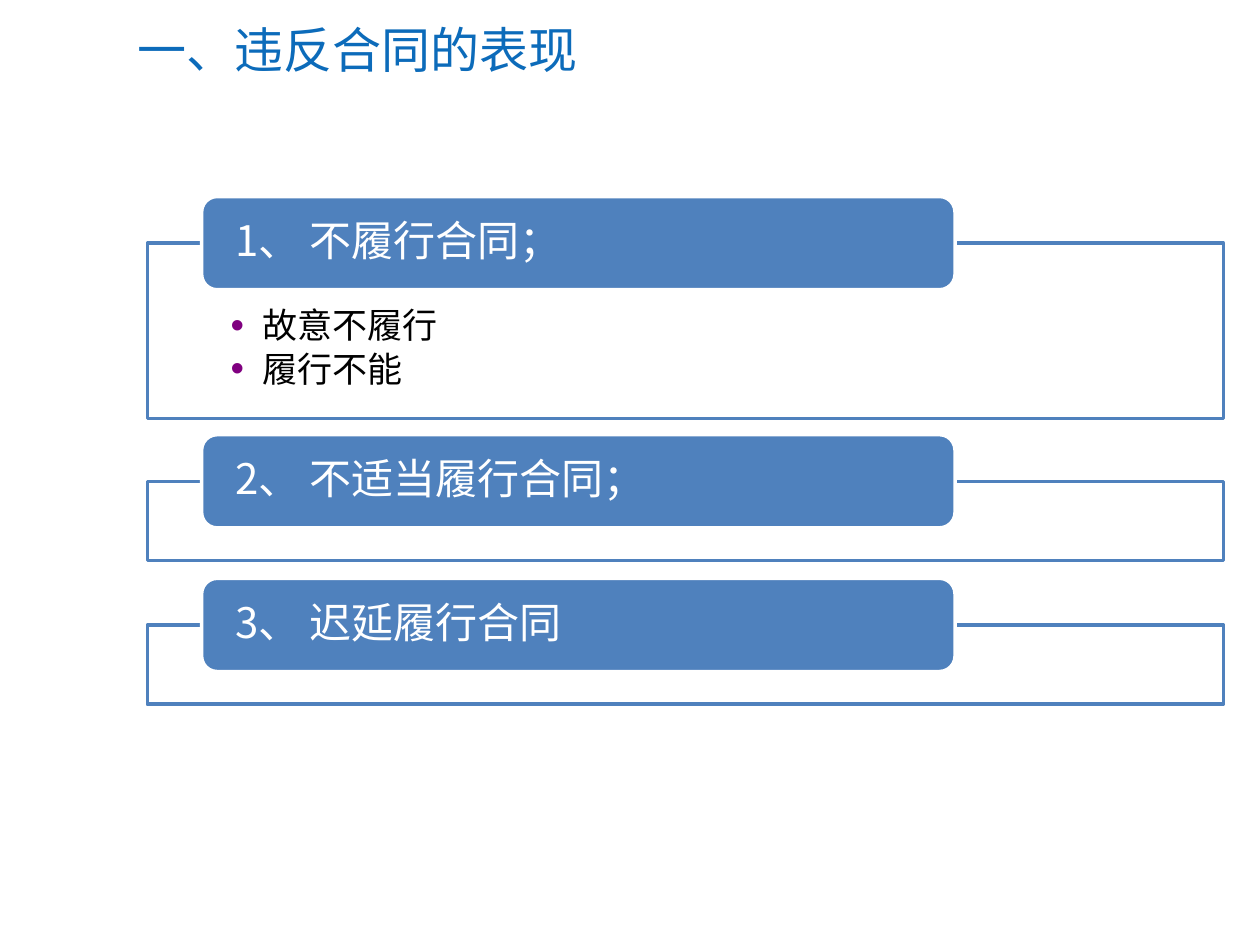
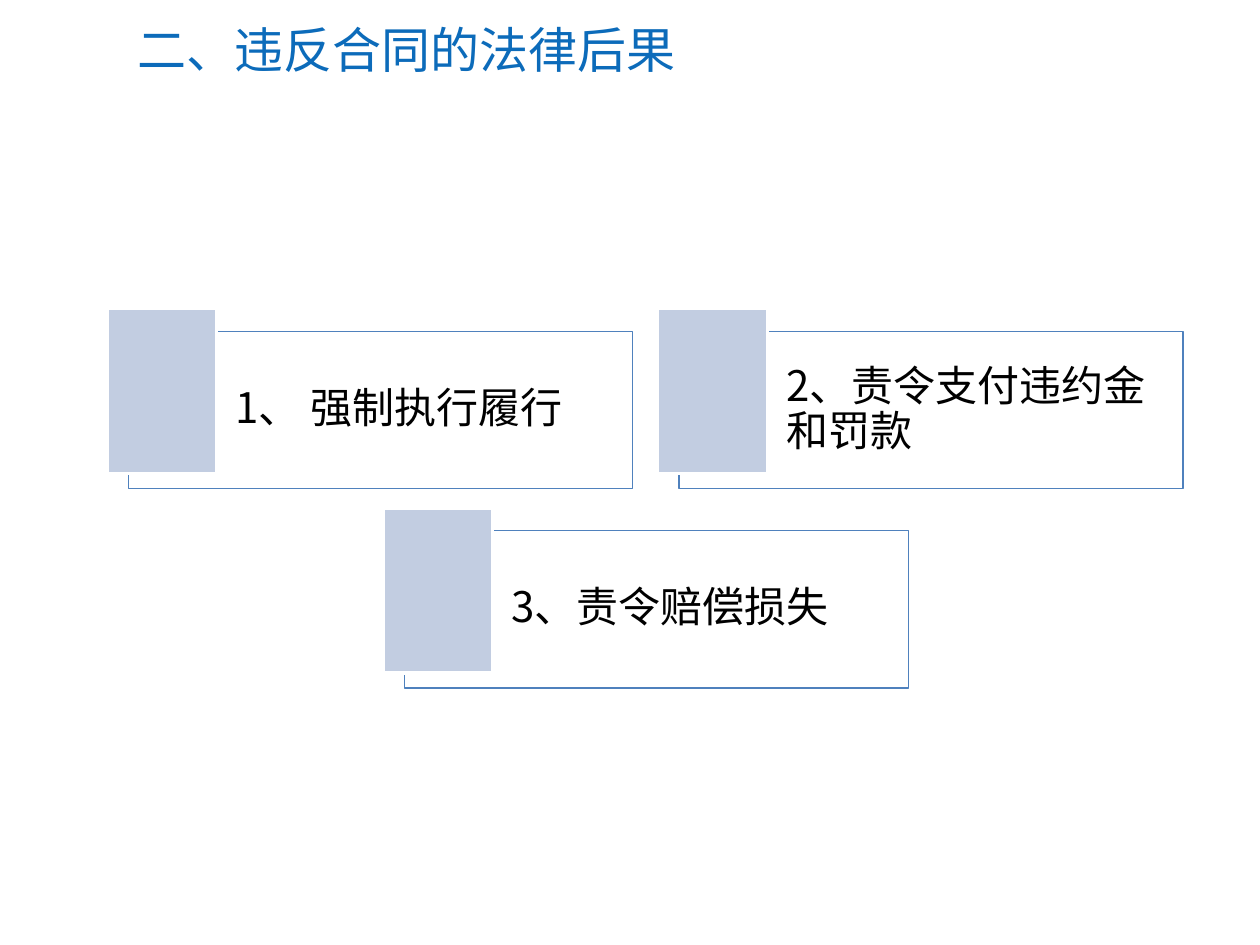
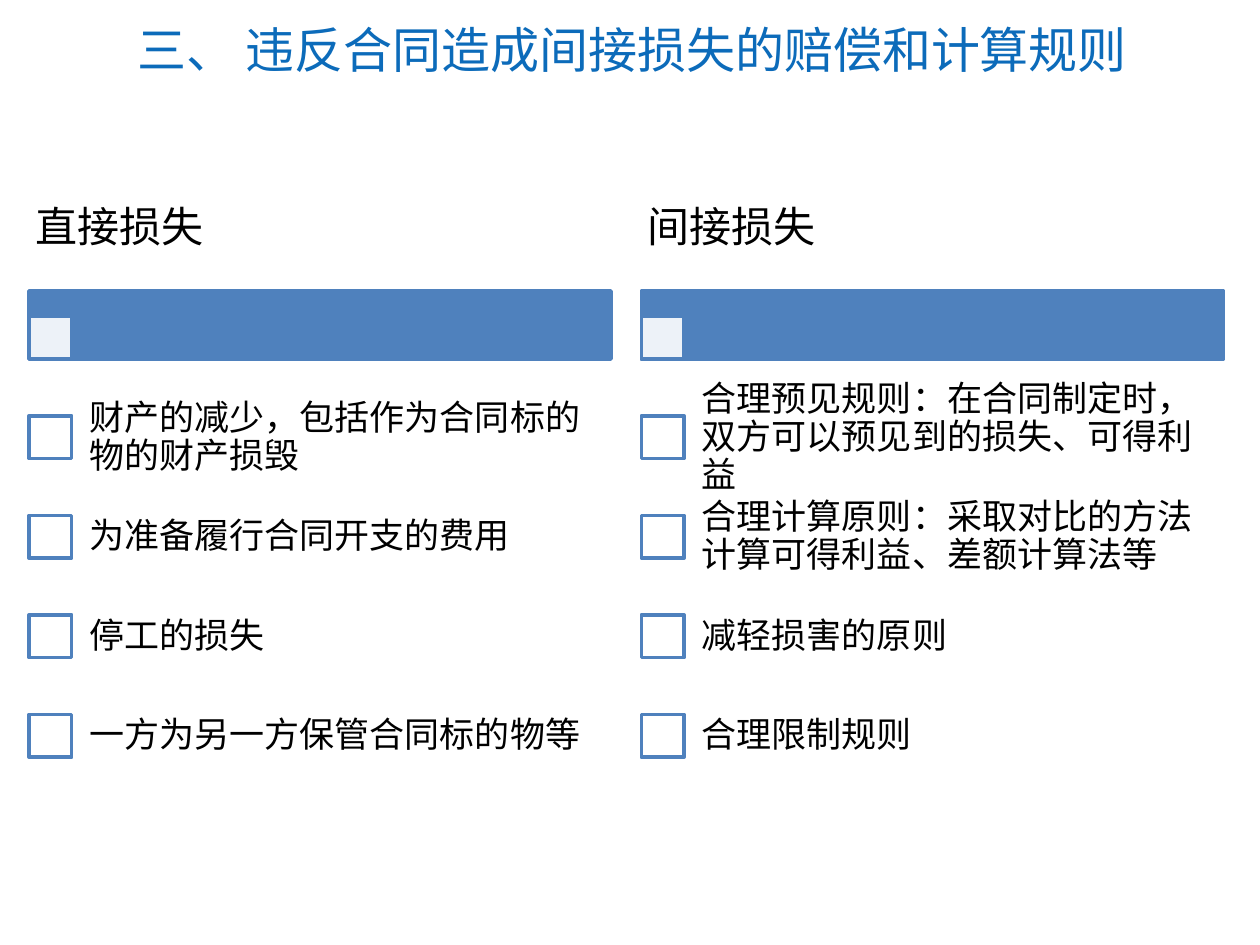
"""Three slides on breach of contract: its forms, consequences and damages."""
from dataclasses import dataclass
from typing import Any, Optional

import pptx
import pptx.dml.color
import pptx.enum.shapes
import pptx.enum.text
import pptx.oxml.ns
import pptx.util
from lxml import etree

Inches = pptx.util.Inches
Pt = pptx.util.Pt
SHAPE = pptx.enum.shapes.MSO_SHAPE
ANCHOR = pptx.enum.text.MSO_ANCHOR
COLORS = {"title": "0C6BBA", "accent": "4F81BD", "tint": "C2CDE1",
          "bullet": "800080", "text": "000000", "white": "FFFFFF"}
CJK = "Noto Sans CJK SC"
LATIN = "Calibri"


@dataclass(frozen=True)
class Box:
    """A rectangle in inches."""
    left: float
    top: float
    width: float
    height: float

    def emu(self) -> tuple:
        """Return left, top, width and height as lengths."""
        return tuple(Inches(v) for v in (self.left, self.top, self.width, self.height))


@dataclass(frozen=True)
class Section:
    """A labelled frame with optional bullet points."""
    label: str
    top: float
    height: float
    points: tuple = ()


@dataclass(frozen=True)
class Consequence:
    """A framed statement, placed by its frame's corner."""
    text: str
    left: float
    top: float


@dataclass(frozen=True)
class LossColumn:
    """A heading with a checklist."""
    heading: str
    left: float
    items: tuple


def rgb(name: str) -> Any:
    """Look up a named colour."""
    return pptx.dml.color.RGBColor.from_string(COLORS[name])


def sub(parent: Any, tag: str, **attrs: str) -> Any:
    """Append an XML child such as a:alpha."""
    return etree.SubElement(parent, pptx.oxml.ns.qn(tag), attrs)


def add_run(p: Any, text: str, size: float, color: str, font: str = CJK) -> None:
    """Append a formatted run to a paragraph."""
    r = p.add_run()
    r.text = text
    r.font.size = Pt(size)
    r.font.name = font
    r.font.color.rgb = rgb(color)
    sub(r.font._element, "a:ea", typeface=CJK)


def add_bullet(p: Any) -> None:
    """Give a paragraph a coloured bullet and a hanging indent."""
    pPr = p._p.get_or_add_pPr()
    indent = Inches(0.25)
    pPr.set("marL", str(indent))
    pPr.set("indent", str(-indent))
    sub(sub(pPr, "a:buClr"), "a:srgbClr", val=COLORS["bullet"])
    sub(pPr, "a:buSzPct", val="110000")
    sub(pPr, "a:buFont", typeface="Arial")
    sub(pPr, "a:buChar", char="•")


def write(sp: Any, *texts: str, size: float = 24, color: str = "text", font: str = CJK,
          insets: tuple = (0.1, 0.05, 0.1, 0.05), anchor: Any = ANCHOR.MIDDLE,
          spacing: float = 0.9, after: float = 0, bullets: bool = False) -> Any:
    """Write one paragraph per text into a shape and return its text frame."""
    tf = sp.text_frame
    tf.word_wrap = True
    tf.vertical_anchor = anchor
    tf.margin_left, tf.margin_top, tf.margin_right, tf.margin_bottom = map(Inches, insets)
    for i, text in enumerate(texts):
        p = tf.add_paragraph() if i else tf.paragraphs[0]
        p.alignment = pptx.enum.text.PP_ALIGN.LEFT
        p.line_spacing = spacing
        p.space_after = Pt(after)
        if bullets:
            add_bullet(p)
        add_run(p, text, size, color, font)
    return tf


def add_block(s: Any, box: Box, fill: str = "white", line: str = "accent",
              width: float = 2, alpha: Optional[int] = None,
              kind: Any = SHAPE.RECTANGLE) -> Any:
    """Draw a filled, outlined shape; alpha is its opacity in percent."""
    sp = s.shapes.add_shape(kind, *box.emu())
    sp.shadow.inherit = False
    sp.fill.solid()
    sp.fill.fore_color.rgb = rgb(fill)
    if alpha is not None:
        clr = sp._element.spPr.find(".//" + pptx.oxml.ns.qn("a:srgbClr"))
        sub(clr, "a:alpha", val=str(alpha * 1000))
    sp.line.color.rgb = rgb(line)
    sp.line.width = Pt(width)
    return sp


def add_text(s: Any, box: Box, *texts: str, **fmt: Any) -> Any:
    """Add a text box and return its text frame."""
    return write(s.shapes.add_textbox(*box.emu()), *texts, **fmt)


def add_slide(prs: Any, number: str, title: str, number_font: str = LATIN) -> Any:
    """Add a blank slide with the shared title style."""
    s = prs.slides.add_slide(prs.slide_layouts[6])
    tf = add_text(s, Box(0.99, 0.1, 8.72, 0.58), number, size=28, color="title",
                  font=number_font, spacing=1)
    add_run(tf.paragraphs[0], title, 28, "title", LATIN)
    return s


def draw_section(s: Any, section: Section) -> None:
    """Draw a frame with its label straddling the top edge."""
    frame = add_block(s, Box(1.17, section.top, 8.54, section.height), alpha=90)
    if section.points:
        write(frame, *section.points, size=20, insets=(0.66, 0.52, 0.66, 0.16),
              anchor=ANCHOR.TOP, after=3, bullets=True)
    label = add_block(s, Box(1.6, section.top - 0.37, 5.98, 0.74), "accent", "white",
                      kind=SHAPE.ROUNDED_RECTANGLE)
    write(label, section.label, color="white", insets=(0.23, 0, 0.23, 0))


def draw_consequence(s: Any, item: Consequence) -> None:
    """Draw a framed statement with a tinted block on its left."""
    frame = add_block(s, Box(item.left, item.top, 4, 1.25), width=0.75, alpha=40)
    write(frame, item.text, insets=(0.85, 0.1, 0.1, 0.1))
    add_block(s, Box(item.left - 0.17, item.top - 0.18, 0.87, 1.31), "tint", "white")


def draw_column(s: Any, column: LossColumn) -> None:
    """Draw a heading, its bar and a checklist below."""
    left, side, pitch = column.left, 0.34, 0.79
    add_block(s, Box(left, 2.31, 4.62, 0.54), "accent")
    add_block(s, Box(left, 2.51, side, side), alpha=90)
    add_text(s, Box(left, 1.33, 4.62, 0.98), column.heading,
             insets=(0.05, 0.03, 0.05, 0.03))
    for i, item in enumerate(column.items):
        top = 3.08 + i * pitch
        add_block(s, Box(left, top + 0.22, side, side))
        add_text(s, Box(left + 0.32, top, 4.3, pitch), item, size=20, insets=(0.16,) * 4)


SECTIONS = (
    Section("1、 不履行合同；", 1.93, 1.39, ("故意不履行", "履行不能")),
    Section("2、 不适当履行合同；", 3.82, 0.63),
    Section("3、 迟延履行合同", 4.96, 0.63),
)
CONSEQUENCES = (
    Consequence("1、 强制执行履行", 1.02, 2.63),
    Consequence("2、责令支付违约金和罚款", 5.39, 2.63),
    Consequence("3、责令赔偿损失", 3.21, 4.21),
)
COLUMNS = (
    LossColumn("直接损失", 0.23, (
        "财产的减少，包括作为合同标的物的财产损毁",
        "为准备履行合同开支的费用",
        "停工的损失",
        "一方为另一方保管合同标的物等")),
    LossColumn("间接损失", 5.09, (
        "合理预见规则：在合同制定时，双方可以预见到的损失、可得利益",
        "合理计算原则：采取对比的方法计算可得利益、差额计算法等",
        "减轻损害的原则",
        "合理限制规则")),
)


def main() -> None:
    """Build and save the presentation."""
    prs = pptx.Presentation()
    prs.slide_width, prs.slide_height = Inches(10), Inches(7.5)

    s = add_slide(prs, "一、", "违反合同的表现")
    for section in SECTIONS:
        draw_section(s, section)

    s = add_slide(prs, "二、", "违反合同的法律后果")
    for item in CONSEQUENCES:
        draw_consequence(s, item)

    s = add_slide(prs, "三、 ", "违反合同造成间接损失的赔偿和计算规则", number_font=CJK)
    for column in COLUMNS:
        draw_column(s, column)

    prs.save("out.pptx")


main()
